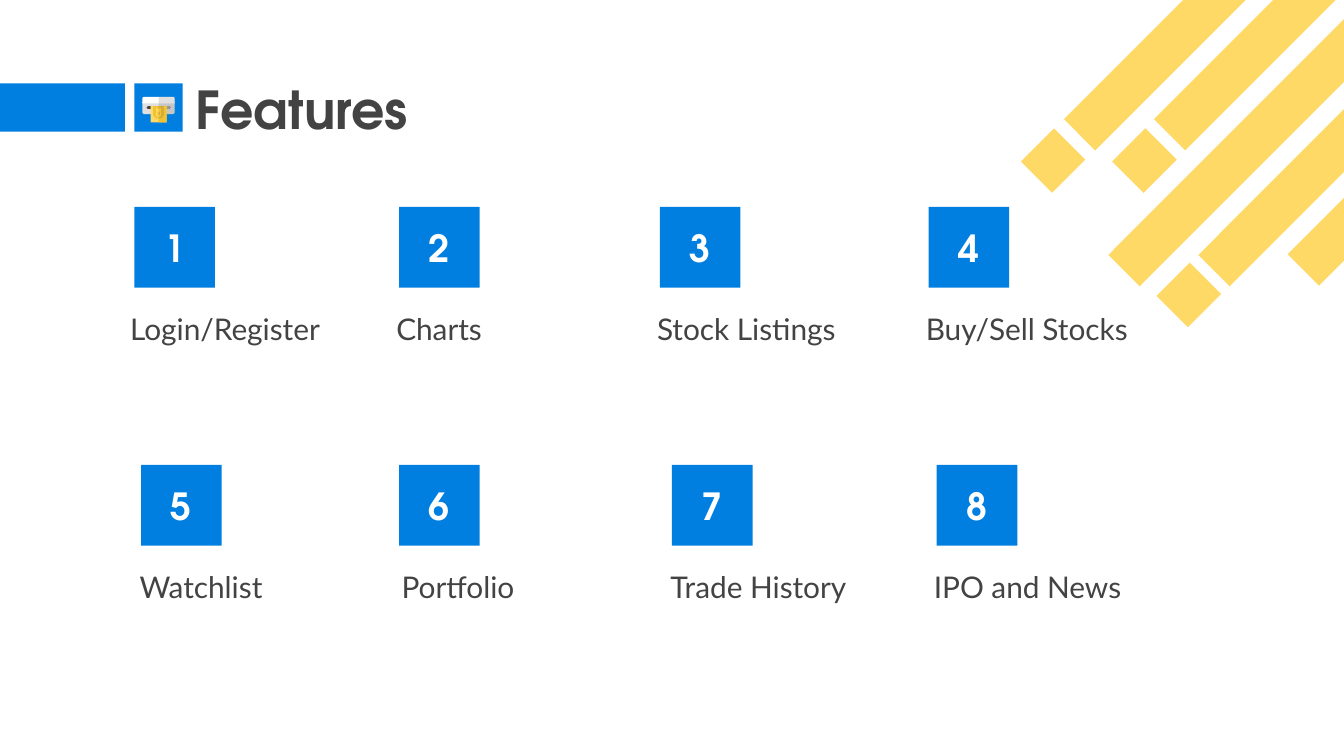
from lxml import etree
from pptx import Presentation
from pptx.dml.color import RGBColor
from pptx.enum.shapes import MSO_SHAPE
from pptx.enum.text import MSO_ANCHOR, PP_ALIGN
from pptx.oxml.ns import qn
from pptx.util import Inches, Pt

RECTANGLE = MSO_SHAPE.RECTANGLE
MIDDLE, BOTTOM = MSO_ANCHOR.MIDDLE, MSO_ANCHOR.BOTTOM
LEFT, CENTER = PP_ALIGN.LEFT, PP_ALIGN.CENTER

BLUE = RGBColor(0x00, 0x7F, 0xE0)
YELLOW = RGBColor(0xFF, 0xD9, 0x66)
GOLD = RGBColor(0xF1, 0xC2, 0x32)
DARK = RGBColor(0x43, 0x43, 0x43)
GRAY = RGBColor(0x99, 0x99, 0x99)
LIGHT = RGBColor(0xE0, 0xE0, 0xE0)
WHITE = RGBColor(0xFF, 0xFF, 0xFF)

HEADING_FONT = "TeX Gyre Adventor"
BODY_FONT = "Lato"

SHADE_OPACITY = 16
ICON_AXIS = 18
ICON_PARTS = [
    (LIGHT, None, [(18, 13), (29, 13), (30, 14), (30, 22), (29, 23),
                   (24, 23), (23, 22), (23, 19), (18, 19)]),
    (WHITE, None, [(18, 10), (29, 10), (30, 11), (30, 15), (18, 15)]),
    (DARK, GRAY, [(18, 17), (26, 17), (27, 18), (26, 19), (18, 19)]),
    (YELLOW, GOLD, [(18, 17), (24, 17), (24, 28), (23.5, 29), (18, 29)]),
    (GOLD, None, [(18, 21), (19, 22), (19, 23), (18, 24)]),
    (GOLD, None, [(18, 25), (19, 25), (20.5, 24), (20.5, 17),
                  (22, 17), (22, 24), (20, 26), (18, 26)]),
    (GOLD, None, [(18, 17), (20, 17), (19.5, 18.5), (18, 19)]),
]

STRIPE_WIDTH = 0.33
STRIPES = [
    (0.07, 1.26, 0.35), (0, 0, 3.02), (0.75, 1.26, 0.35), (0.67, 0, 3.02),
    (0.33, 1.01, 3.02), (1.91, 1.6, 1.34), (1, 1.01, 3.02), (1.08, 2.26, 0.35),
]

BADGE_SIZE = 0.6
LABEL_DROP = 0.61
FEATURE_ROWS = [
    (1.54, [("Login/Register", 1, 0.87), ("Charts", 2.97, 2.85),
            ("Stock Listings", 4.91, 4.79), ("Buy/Sell Stocks", 6.91, 6.79)]),
    (3.46, [("Watchlist", 1.05, 0.94), ("Portfolio", 2.97, 2.89),
            ("Trade History", 5, 4.89), ("IPO and News", 6.97, 6.85)]),
]


def paint(shape, color, opacity=100):
    """Fill a shape with one colour and drop its line and shadow."""
    shape.shadow.inherit = False
    shape.line.fill.background()
    shape.fill.solid()
    shape.fill.fore_color.rgb = color
    if opacity < 100:
        tint = shape.element.spPr.find(qn("a:solidFill")).find(qn("a:srgbClr"))
        etree.SubElement(tint, qn("a:alpha"), val=str(opacity * 1000))


def add_block(slide, left, top, width, height, color, rotation=0):
    """Add a plain filled rectangle."""
    block = slide.shapes.add_shape(
        RECTANGLE, Inches(left), Inches(top), Inches(width), Inches(height))
    block.rotation = rotation
    paint(block, color)
    return block


def write(shape, text, size, font=BODY_FONT, color=DARK, bold=False,
          align=LEFT, anchor=MIDDLE):
    """Put one formatted line of text in a shape."""
    frame = shape.text_frame
    frame.word_wrap = True
    frame.vertical_anchor = anchor
    frame.margin_left = frame.margin_right = Inches(0.1)
    frame.margin_top = frame.margin_bottom = Inches(0.1)
    line = frame.paragraphs[0]
    line.alignment = align
    run = line.add_run()
    run.text = text
    run.font.name = font
    run.font.size = Pt(size)
    run.font.bold = bold
    run.font.color.rgb = color


def add_label(slide, left, top, width, height, text, **style):
    """Add a text box holding one formatted line."""
    box = slide.shapes.add_textbox(
        Inches(left), Inches(top), Inches(width), Inches(height))
    write(box, text, **style)


def add_outline(slide, left, top, points, color, opacity=100):
    """Add a closed polygon given in hundredths of an inch."""
    builder = slide.shapes.build_freeform(*points[0], scale=Inches(0.01))
    builder.add_line_segments(points[1:])
    paint(builder.convert_to_shape(Inches(left), Inches(top)), color, opacity)


def add_stripes(slide, left, top):
    """Draw the diagonal stripes of the corner."""
    for dx, dy, length in STRIPES:
        add_block(slide, left + dx, top + dy, length, STRIPE_WIDTH, YELLOW, 135)


def add_cash_icon(slide, left, top):
    """Draw the cash dispenser from mirrored halves, the right one shaded."""
    for color, right_color, half in ICON_PARTS:
        mirrored = [(2 * ICON_AXIS - x, y) for x, y in reversed(half)]
        add_outline(slide, left, top, half + mirrored, color)
        if right_color:
            add_outline(slide, left, top, half, right_color)
        else:
            add_outline(slide, left, top, half, DARK, SHADE_OPACITY)


def add_header(slide, left, top):
    """Draw the title bar with its icon tile and heading."""
    add_block(slide, left, top, 0.93, 0.36, BLUE)
    add_block(slide, left + 1, top, 0.36, 0.36, BLUE)
    add_cash_icon(slide, left + 1, top)
    add_label(slide, left + 1.36, top - 0.05, 6.78, 0.47, "Features",
              size=28, font=HEADING_FONT, bold=True)


def add_feature(slide, left, top, number, name, label_left):
    """Draw a numbered badge with the feature name below it."""
    badge = add_block(slide, left, top, BADGE_SIZE, BADGE_SIZE, BLUE)
    write(badge, str(number), size=20, font=HEADING_FONT, color=WHITE,
          bold=True, align=CENTER)
    add_label(slide, label_left, top + LABEL_DROP, 2.38, 0.53, name,
              size=16, anchor=BOTTOM)


def main():
    """Build the features slide."""
    deck = Presentation()
    deck.slide_width = Inches(10)
    deck.slide_height = deck.slide_width * 9 // 16
    slide = deck.slides.add_slide(deck.slide_layouts[6])
    add_stripes(slide, 7.59, -0.23)
    add_header(slide, 0, 0.62)
    number = 0
    for top, features in FEATURE_ROWS:
        for name, left, label_left in features:
            number += 1
            add_feature(slide, left, top, number, name, label_left)
    deck.save("out.pptx")


if __name__ == "__main__":
    main()
